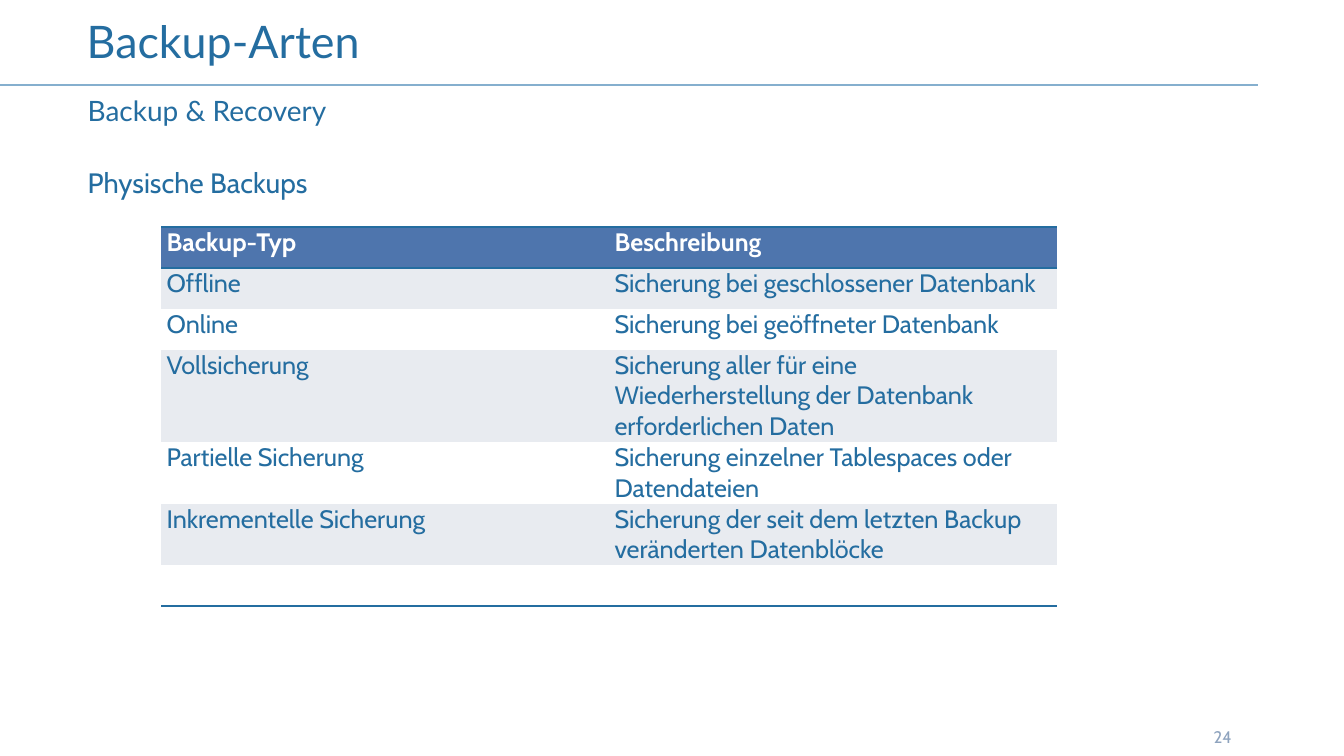
from dataclasses import dataclass

from lxml.etree import SubElement
from pptx import Presentation
from pptx.dml.color import RGBColor
from pptx.enum.shapes import MSO_CONNECTOR
from pptx.enum.text import MSO_ANCHOR, MSO_AUTO_SIZE, PP_ALIGN
from pptx.oxml.ns import qn
from pptx.util import Pt

BLUE = RGBColor(0x24, 0x6D, 0xA0)
PALE = RGBColor(0x85, 0xAF, 0xCE)
SLATE = RGBColor(0x8E, 0xA3, 0xBE)
HEAD = RGBColor(0x4E, 0x75, 0xAD)
BAND = RGBColor(0xE8, 0xEB, 0xF0)
WHITE = RGBColor(0xFF, 0xFF, 0xFF)


@dataclass
class Label:
    text: str
    box: tuple[float, float, float, float]
    inset: tuple[float, float, float, float]
    font: str
    size: float
    color: RGBColor = BLUE
    anchor: MSO_ANCHOR = MSO_ANCHOR.TOP
    spacing: float = 0.9


TITLE = Label("Backup-Arten", (54.7, 10.8, 850.3, 61.2), (7.2, 0, 7.2, 20.2),
              "Lato", 32, anchor=MSO_ANCHOR.MIDDLE)
TOPIC = Label("Backup & Recovery", (55.4, 69.8, 849.6, 24.5),
              (7.2, 0, 7.2, 3.6), "Lato", 20)
BODY = Label("Physische Backups", (55.4, 117.4, 850.3, 371.5),
             (7.2, 3.6, 7.2, 3.6), "Cabin", 20)
NUMBER = Label("24", (866.9, 504.7, 38.2, 28.8), (0, 3.6, 0, 0), "Cabin", 12,
               SLATE, MSO_ANCHOR.BOTTOM, 1)

ROWS = [
    ("Backup-Typ", "Beschreibung"),
    ("Offline", "Sicherung bei geschlossener Datenbank"),
    ("Online", "Sicherung bei geöffneter Datenbank"),
    ("Vollsicherung", "Sicherung aller für eine Wiederherstellung "
                      "der Datenbank erforderlichen Daten"),
    ("Partielle Sicherung",
     "Sicherung einzelner Tablespaces oder Datendateien"),
    ("Inkrementelle Sicherung",
     "Sicherung der seit dem letzten Backup veränderten Datenblöcke"),
    ("", ""),
]


def write(shape, label: Label) -> None:
    shape.left, shape.top, shape.width, shape.height = map(Pt, label.box)
    frame = shape.text_frame
    frame.word_wrap = True
    frame.auto_size = MSO_AUTO_SIZE.NONE
    frame.vertical_anchor = label.anchor
    (frame.margin_left, frame.margin_top,
     frame.margin_right, frame.margin_bottom) = map(Pt, label.inset)
    frame.text = label.text
    para = frame.paragraphs[0]
    props = para._p.get_or_add_pPr()
    props.set("marL", "0")
    props.set("indent", "0")
    SubElement(props, qn("a:buNone"))
    para.alignment = PP_ALIGN.LEFT
    para.line_spacing = label.spacing
    para.space_before = Pt(0)
    font = para.font
    font.name, font.size = label.font, Pt(label.size)
    font.color.rgb = label.color


def edge(cell, side: str, shown: bool) -> None:
    """Draw a blue border on one side of a cell, or clear it."""
    line = SubElement(cell._tc.get_or_add_tcPr(), qn(f"a:ln{side}"),
                      w=str(Pt(2)))
    if shown:
        fill = SubElement(line, qn("a:solidFill"))
        SubElement(fill, qn("a:srgbClr"), val=str(BLUE))
    else:
        SubElement(line, qn("a:noFill"))


def add_grid(slide) -> None:
    high = 29.3
    table = slide.shapes.add_table(
        len(ROWS), 2, Pt(115.2), Pt(162), Pt(640), Pt(high * len(ROWS))).table
    table.horz_banding = False
    table.first_row = False
    for row, texts in enumerate(ROWS):
        table.rows[row].height = Pt(high)
        first, last = row == 0, row == len(ROWS) - 1
        for col, text in enumerate(texts):
            cell = table.cell(row, col)
            cell.margin_left = cell.margin_right = Pt(3.8)
            cell.margin_top = cell.margin_bottom = Pt(0)
            edge(cell, "L", False)
            edge(cell, "R", False)
            edge(cell, "T", row < 2)
            edge(cell, "B", first or last)
            cell.fill.solid()
            cell.fill.fore_color.rgb = (
                HEAD if first else BAND if row % 2 else WHITE)
            cell.text = text
            font = cell.text_frame.paragraphs[0].font
            font.name, font.size, font.bold = "Cabin", Pt(18), first
            font.color.rgb = WHITE if first else BLUE


def add_rule(slide) -> None:
    rule = slide.shapes.add_connector(
        MSO_CONNECTOR.STRAIGHT, Pt(0), Pt(60.5), Pt(898.6), Pt(60.5))
    rule.line.color.rgb = PALE
    rule.line.width = Pt(1.5)
    SubElement(rule._element.spPr, qn("a:effectLst"))


def main() -> None:
    deck = Presentation()
    deck.slide_width, deck.slide_height = Pt(960), Pt(540)
    slide = deck.slides.add_slide(deck.slide_layouts.get_by_name("Two Content"))
    add_rule(slide)
    title, topic, body = slide.placeholders
    write(title, TITLE)
    write(topic, TOPIC)
    write(body, BODY)
    write(slide.shapes.add_textbox(*map(Pt, NUMBER.box)), NUMBER)
    add_grid(slide)
    deck.save("out.pptx")


if __name__ == "__main__":
    main()
